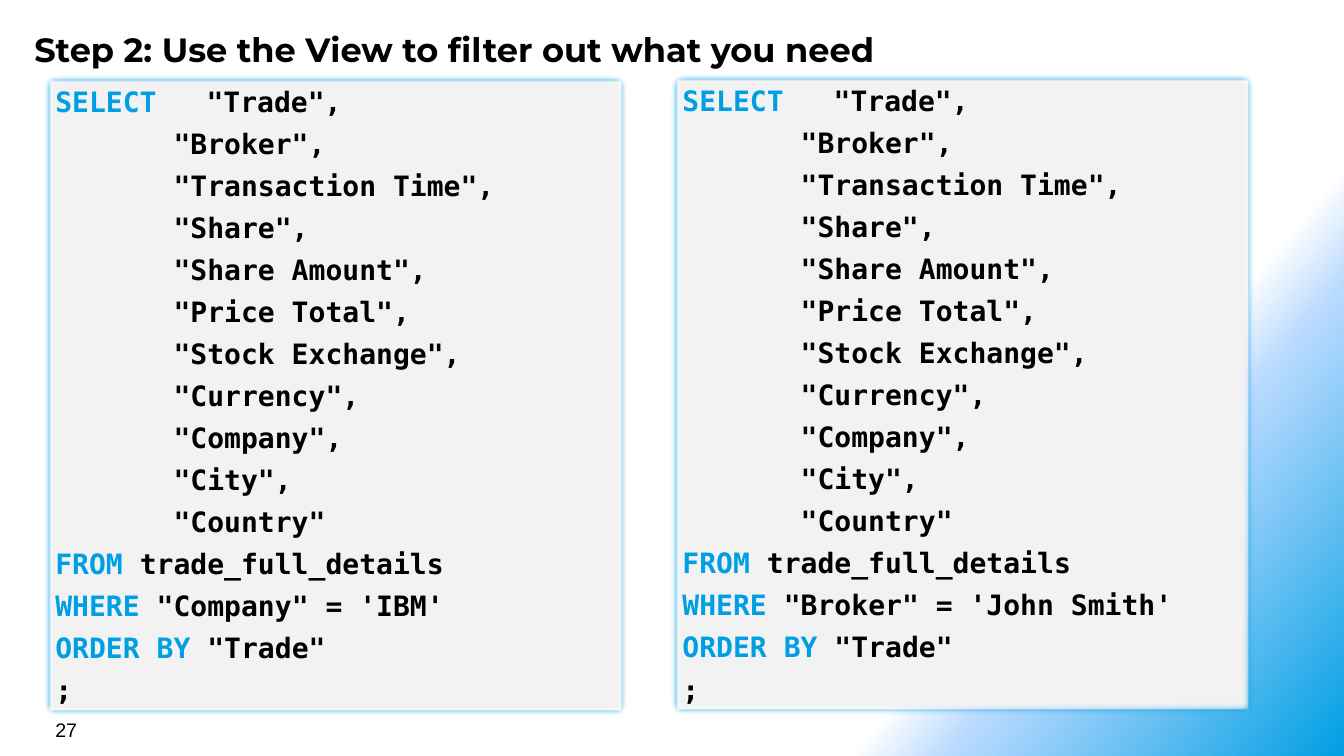
from dataclasses import dataclass

from lxml import etree
from pptx import Presentation
from pptx.dml.color import RGBColor
from pptx.enum import shapes, text
from pptx.oxml import ns, parse_xml
from pptx.util import Inches, Pt

BLUE, BLACK, PANEL = "009FE3", "000000", "F2F2F2"
CODE_FONT = "DejaVu Sans Mono"
COLUMNS = ["Broker", "Transaction Time", "Share", "Share Amount", "Price Total",
           "Stock Exchange", "Currency", "Company", "City", "Country"]
GRADIENT = [(75, "FFFFFF"), (80, "B9DAFF"), (100, BLUE)]


@dataclass
class Query:
    left: float
    top: float
    condition: str


QUERIES = [Query(0.45, 0.76, "\"Company\" = 'IBM'"),
           Query(6.67, 0.75, "\"Broker\" = 'John Smith'")]


def rgb(color: str) -> RGBColor:
    return RGBColor.from_string(color)


def add_run(p, content: str, color: str = BLACK, **values) -> None:
    r = p.add_run()
    r.text = content
    for name, value in values.items():
        setattr(r.font, name, value)
    r.font.color.rgb = rgb(color)


def format_frame(tf, **values) -> None:
    for name, value in values.items():
        setattr(tf, name, value)


def set_background(s) -> None:
    stops = "".join(f'<a:gs pos="{pos * 1000}"><a:srgbClr val="{color}"/></a:gs>'
                    for pos, color in GRADIENT)
    fill = parse_xml(f'<a:gradFill {ns.nsdecls("a")} rotWithShape="1"><a:gsLst>{stops}'
                     '</a:gsLst><a:lin ang="2400000" scaled="0"/></a:gradFill>')
    s.background.fill.solid()
    solid = s.background._cSld.find(".//" + ns.qn("a:solidFill"))
    solid.getparent().replace(solid, fill)


def query_lines(condition: str) -> list[tuple[str, str]]:
    """Return each code line as its keyword and the rest."""
    columns = [("", f'       "{name}",') for name in COLUMNS]
    columns[-1] = ("", columns[-1][1].rstrip(","))
    return [("SELECT", '\t"Trade",'), *columns, ("FROM ", "trade_full_details"),
            ("WHERE ", condition), ("ORDER BY", ' "Trade"'), ("", ";")]


def add_query(s, query: Query) -> None:
    sp = s.shapes.add_shape(shapes.MSO_SHAPE.RECTANGLE, Inches(query.left),
                            Inches(query.top), Inches(5.75), Inches(6.33))
    sp.fill.solid()
    sp.fill.fore_color.rgb = rgb(PANEL)
    sp.line.color.rgb = rgb(BLUE)
    sp.line.width = Pt(6)
    sp.shadow.inherit = False
    effects = sp._element.spPr.find(ns.qn("a:effectLst"))
    etree.SubElement(effects, ns.qn("a:softEdge"), rad=str(Pt(5)))
    tf = sp.text_frame
    format_frame(tf, word_wrap=True, vertical_anchor=text.MSO_ANCHOR.MIDDLE)
    for i, (keyword, rest) in enumerate(query_lines(query.condition)):
        p = tf.add_paragraph() if i else tf.paragraphs[0]
        p.alignment = text.PP_ALIGN.LEFT
        p.space_before = Pt(3 if i else 0)
        p.space_after = Pt(3)
        if "\t" in rest:
            tabs = etree.SubElement(p._p.get_or_add_pPr(), ns.qn("a:tabLst"))
            etree.SubElement(tabs, ns.qn("a:tab"), pos=str(Inches(1.5)), algn="l")
        for content, color in ((keyword, BLUE), (rest, BLACK)):
            if content:
                add_run(p, content, color, size=Pt(20), name=CODE_FONT, bold=True)


def add_title(s) -> None:
    title = s.shapes.title
    title.left, title.top = Inches(0.26), Inches(0.21)
    title.width, title.height = Inches(12.78), Inches(0.55)
    tf = title.text_frame
    format_frame(tf, word_wrap=True, vertical_anchor=text.MSO_ANCHOR.MIDDLE,
                 auto_size=text.MSO_AUTO_SIZE.NONE, margin_left=Inches(0.08),
                 margin_top=Inches(0.08), margin_right=Inches(0.08),
                 margin_bottom=Inches(0.08))
    p = tf.paragraphs[0]
    p.alignment = text.PP_ALIGN.LEFT
    add_run(p, "Step 2: Use the View to filter out what you need",
            size=Pt(24), name="Montserrat", bold=True)


def add_page_number(s) -> None:
    sp = s.shapes.add_textbox(Inches(0.45), Inches(7.07), Inches(3.11), Inches(0.33))
    tf = sp.text_frame
    format_frame(tf, word_wrap=True, vertical_anchor=text.MSO_ANCHOR.MIDDLE)
    add_run(tf.paragraphs[0], "27", size=Pt(14), name="Arial")


def main() -> None:
    prs = Presentation()
    prs.slide_width, prs.slide_height = Inches(13.33), Inches(7.5)
    s = prs.slides.add_slide(prs.slide_layouts[5])
    set_background(s)
    add_title(s)
    for query in QUERIES:
        add_query(s, query)
    add_page_number(s)
    prs.save("out.pptx")


if __name__ == "__main__":
    main()
